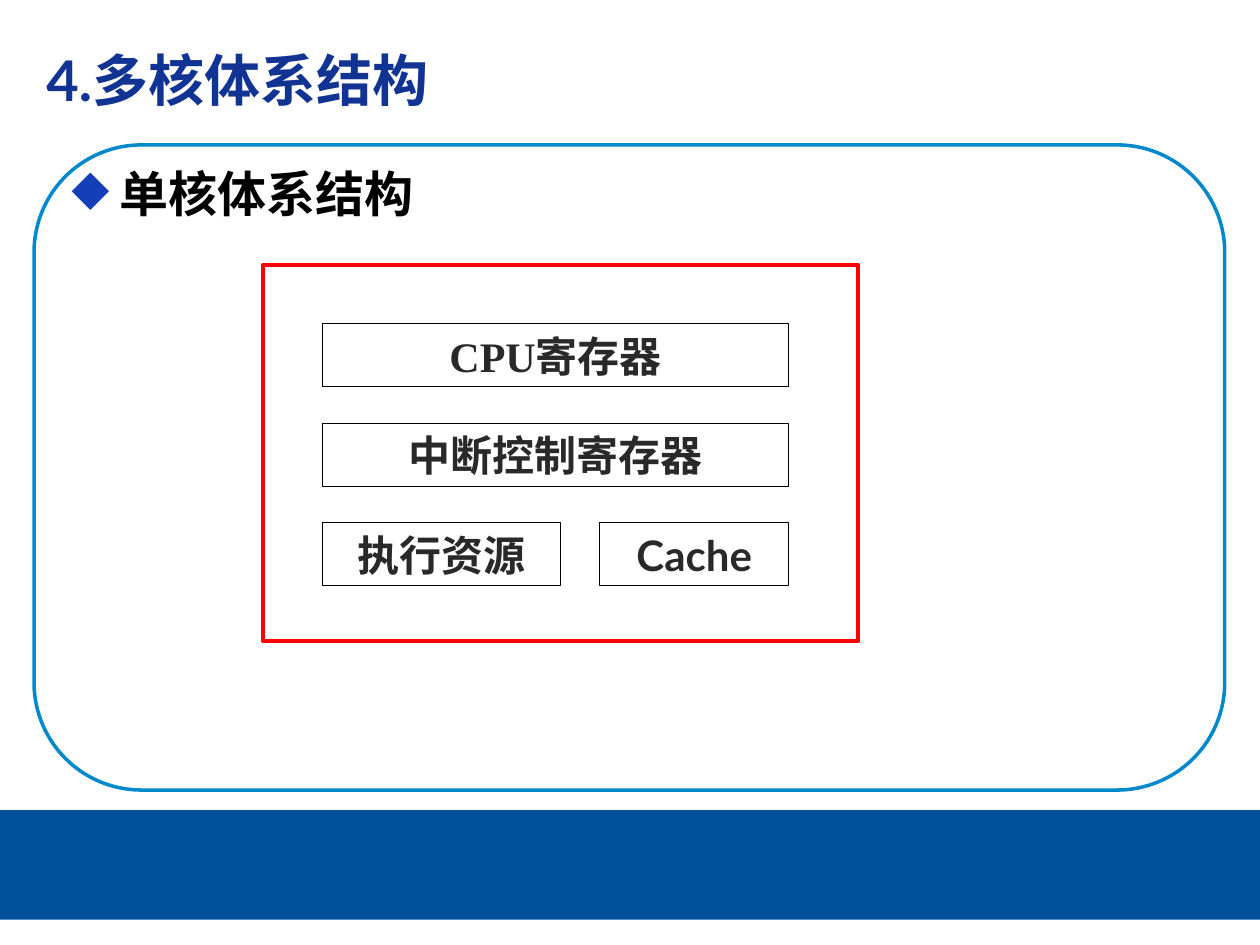
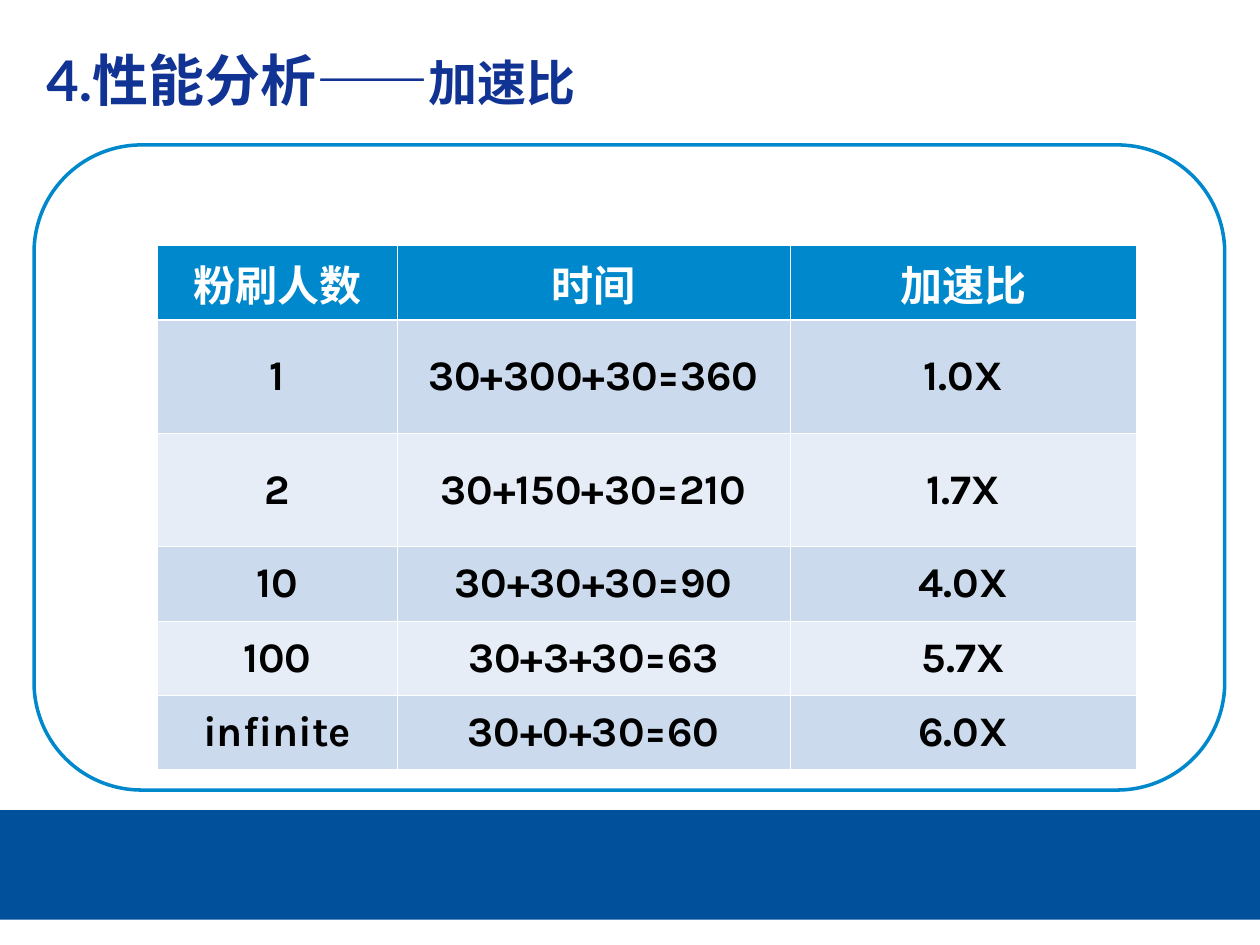
from lxml.etree import SubElement
from pptx import Presentation
from pptx.dml.color import RGBColor
from pptx.enum.shapes import MSO_SHAPE
from pptx.enum.text import MSO_ANCHOR, PP_ALIGN
from pptx.oxml.ns import qn
from pptx.util import Inches, Pt

# Colours
BAND_BLUE = RGBColor(0x00, 0x50, 0x9B)
FRAME_BLUE = RGBColor(0x00, 0x88, 0xCC)
TITLE_BLUE = RGBColor(0x10, 0x33, 0x94)
BULLET_BLUE = RGBColor(0x14, 0x3F, 0xB8)
ROW_DARK = RGBColor(0xCB, 0xDA, 0xEC)
ROW_LIGHT = RGBColor(0xE7, 0xED, 0xF6)
BOX_TEXT = RGBColor(0x29, 0x29, 0x29)
RED = RGBColor(0xFF, 0x00, 0x00)
BLACK = RGBColor(0x00, 0x00, 0x00)
WHITE = RGBColor(0xFF, 0xFF, 0xFF)

# Text formats
TITLE = {"name": "Lato", "size": Pt(32), "bold": True, "color": TITLE_BLUE}
SUBTITLE = {**TITLE, "size": Pt(28)}
HEADING = {**SUBTITLE, "color": BLACK}
BOX = {"name": "Times New Roman", "size": Pt(24), "bold": True, "color": BOX_TEXT}
LATIN_BOX = {**BOX, "name": "Lato"}
BODY_CELL = {**BOX, "name": "Karla", "color": BLACK}
HEAD_CELL = {**BODY_CELL, "color": WHITE}

SPEEDUP_ROWS = [
    ("粉刷人数", "时间", "加速比"),
    ("1", "30+300+30=360", "1.0X"),
    ("2", "30+150+30=210", "1.7X"),
    ("10", "30+30+30=90", "4.0X"),
    ("100", "30+3+30=63", "5.7X"),
    ("infinite", "30+0+30=60", "6.0X"),
]
COL_WIDTHS = (1.9, 3.12, 2.75)
ROW_HEIGHTS = (0.59, 0.9, 0.9, 0.59, 0.59, 0.59)


def add_run(p, text, fmt):
    r = p.add_run()
    r.text = text
    for key, value in fmt.items():
        if key == "color":
            r.font.color.rgb = value
        else:
            setattr(r.font, key, value)


def add_box(s, at, kind=MSO_SHAPE.RECTANGLE, fill=None, line=None, width=0.75):
    sp = s.shapes.add_shape(kind, *map(Inches, at))
    sp.shadow.inherit = False
    if fill is None:
        sp.fill.background()
    else:
        sp.fill.solid()
        sp.fill.fore_color.rgb = fill
    if line is None:
        sp.line.fill.background()
    else:
        sp.line.color.rgb = line
        sp.line.width = Pt(width)
    return sp


def add_label_box(s, at, text, fmt=BOX):
    tf = add_box(s, at, line=BLACK).text_frame
    tf.word_wrap = True
    tf.vertical_anchor = MSO_ANCHOR.MIDDLE
    p = tf.paragraphs[0]
    p.alignment = PP_ALIGN.CENTER
    add_run(p, text, fmt)


def add_text(s, at, runs, anchor=MSO_ANCHOR.TOP):
    tf = s.shapes.add_textbox(*map(Inches, at)).text_frame
    tf.word_wrap = True
    tf.vertical_anchor = anchor
    p = tf.paragraphs[0]
    for text, fmt in runs:
        add_run(p, text, fmt)
    return p


def add_bullet(p, char, color, indent):
    pPr = p._p.get_or_add_pPr()
    pPr.set("marL", str(Inches(indent)))
    pPr.set("indent", str(-Inches(indent)))
    clr = SubElement(pPr, qn("a:buClr"))
    SubElement(clr, qn("a:srgbClr"), val=str(color))
    SubElement(pPr, qn("a:buChar"), char=char)


def add_base_slide(prs, title_runs):
    """Blank slide with the shared band, frame and title."""
    s = prs.slides.add_slide(prs.slide_layouts[6])
    add_box(s, (0, 6.43, 10, 0.87), fill=BAND_BLUE)
    add_box(s, (0.27, 1.15, 9.45, 5.12), MSO_SHAPE.FLOWCHART_ALTERNATE_PROCESS,
            line=FRAME_BLUE, width=2)
    add_text(s, (0.27, 0.28, 9, 0.69), title_runs, MSO_ANCHOR.MIDDLE)
    return s


def set_borders(cell, widths):
    tcPr = cell._tc.get_or_add_tcPr()
    for i, (side, width) in enumerate(widths.items()):
        ln = SubElement(tcPr, qn(f"a:{side}"), w=str(Pt(width)))
        fill = SubElement(ln, qn("a:solidFill"))
        SubElement(fill, qn("a:srgbClr"), val=str(WHITE))
        tcPr.remove(ln)
        tcPr.insert(i, ln)  # borders come before the cell fill


def add_speedup_table(s, left, top):
    size = Inches(sum(COL_WIDTHS)), Inches(sum(ROW_HEIGHTS))
    table = s.shapes.add_table(len(ROW_HEIGHTS), len(COL_WIDTHS),
                               Inches(left), Inches(top), *size).table
    for col, width in zip(table.columns, COL_WIDTHS):
        col.width = Inches(width)
    for i, (row, height) in enumerate(zip(table.rows, ROW_HEIGHTS)):
        row.height = Inches(height)
        fill = FRAME_BLUE if i == 0 else ROW_DARK if i % 2 else ROW_LIGHT
        borders = {"lnL": 0.45, "lnR": 0.45,
                   "lnT": 1.47 if i == 1 else 0.45,
                   "lnB": 1.47 if i == 0 else 0.45}
        for cell, text in zip(row.cells, SPEEDUP_ROWS[i]):
            cell.fill.solid()
            cell.fill.fore_color.rgb = fill
            cell.vertical_anchor = MSO_ANCHOR.MIDDLE
            set_borders(cell, borders)
            p = cell.text_frame.paragraphs[0]
            p.alignment = PP_ALIGN.CENTER
            add_run(p, text, BODY_CELL if i else HEAD_CELL)


def build_single_core(prs):
    s = add_base_slide(prs, [("4.多核体系结构", TITLE)])
    p = add_text(s, (0.47, 1.25, 8.12, 0.71), [("单核体系结构", HEADING)])
    add_bullet(p, "◆", BULLET_BLUE, 0.38)

    # Parts of the core: (row, left, width, text, format)
    parts = [
        (0, 2.56, 3.7, "CPU寄存器", BOX),
        (1, 2.56, 3.7, "中断控制寄存器", BOX),
        (2, 2.56, 1.89, "执行资源", BOX),
        (2, 4.76, 1.5, "Cache", LATIN_BOX),
    ]
    for row, left, width, text, fmt in parts:
        add_label_box(s, (left, 2.57 + 0.79 * row, width, 0.5), text, fmt)
    add_box(s, (2.09, 2.1, 4.72, 2.99), line=RED, width=2.25)


def build_speedup(prs):
    s = add_base_slide(prs, [("4.性能分析——", TITLE), ("加速比", SUBTITLE)])
    add_speedup_table(s, 1.25, 1.95)


def main():
    prs = Presentation()
    prs.slide_width, prs.slide_height = Inches(10), Inches(7.5)
    build_single_core(prs)
    build_speedup(prs)
    prs.save("out.pptx")


if __name__ == "__main__":
    main()
